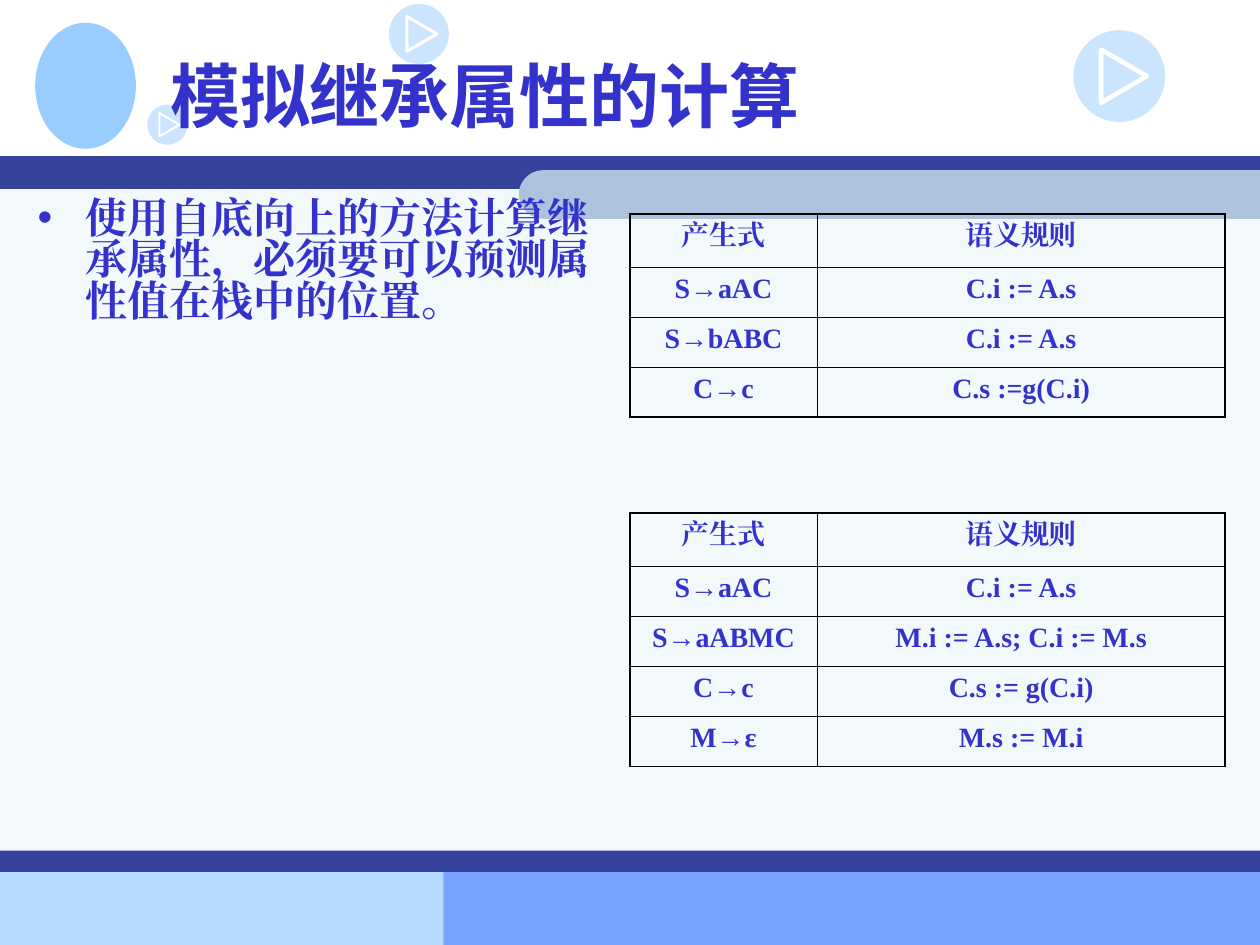
from lxml import etree
from pptx import Presentation
from pptx.dml.color import RGBColor
from pptx.enum import shapes, text
from pptx.oxml import ns
from pptx.util import Cm, Pt

INK, BAND, SKY = "3333CC", "36429B", "99CCFF"
INSETS = {"margin_left": Cm(0.25), "margin_right": Cm(0.25),
          "margin_top": Cm(0.13), "margin_bottom": Cm(0.13)}


def color(hex_string):
    return RGBColor.from_string(hex_string)


def write(paragraph, words, size, font_name, alignment):
    """Put one bold run in the paragraph, with one font for Latin and Chinese."""
    paragraph.alignment = alignment
    paragraph.space_before = Pt(0)
    run = paragraph.add_run()
    run.text = words
    run.font.color.rgb = color(INK)
    for name, value in {"size": Pt(size), "bold": True, "name": font_name}.items():
        setattr(run.font, name, value)
    etree.SubElement(run.font._element, ns.qn("a:ea"), typeface=font_name)


presentation = Presentation()
presentation.slide_width, presentation.slide_height = Cm(25.4), Cm(19.05)
slide = presentation.slides.add_slide(presentation.slide_layouts[1])
title, body = slide.placeholders

# Bands, and one plain oval as the emblem
kinds = shapes.MSO_SHAPE
for kind, left, top, width, height, fill in [
    (kinds.RECTANGLE, 0, 17.58, 10.8, 1.47, "B5DAFF"),
    (kinds.RECTANGLE, 8.94, 17.55, 16.46, 1.5, "77A4FF"),
    (kinds.RECTANGLE, 0, 3.56, 25.4, 14, "F3F8FB"),
    (kinds.RECTANGLE, 0, 3.15, 25.4, 0.66, BAND),
    (kinds.RECTANGLE, 0, 17.15, 25.4, 0.43, BAND),
    (kinds.OVAL, 0.71, 0.46, 2.03, 2.54, SKY),
]:
    shape = slide.shapes.add_shape(kind, Cm(left), Cm(top), Cm(width), Cm(height))
    shape.shadow.inherit = False
    shape.fill.solid()
    shape.fill.fore_color.rgb = color(fill)
    shape.line.fill.background()

# Tab with a round left end: an upright shape turned a quarter to the left
tab_left, tab_top, tab_width, tab_height = 10.46, 3.43, 14.94, 0.98
tab = slide.shapes.add_shape(
    kinds.ROUND_2_SAME_RECTANGLE,
    Cm(tab_left + (tab_width - tab_height) / 2), Cm(tab_top - (tab_width - tab_height) / 2),
    Cm(tab_height), Cm(tab_width))
tab.rotation = 270
tab.adjustments[0] = 0.5
tab.shadow.inherit = False
tab.fill.solid()
tab.fill.fore_color.rgb = color("ADC3DD")
tab.line.fill.background()

# Play badges: a half-transparent disc with a white triangle outline
for left, top, size in [(7.84, 0.08, 1.21), (21.64, 0.61, 1.85), (2.97, 2.11, 0.81)]:
    disc = slide.shapes.add_shape(kinds.OVAL, Cm(left), Cm(top), Cm(size), Cm(size))
    disc.shadow.inherit = False
    disc.fill.solid()
    disc.fill.fore_color.rgb = color(SKY)
    disc_color = disc.fill._xPr.find(".//" + ns.qn("a:srgbClr"))
    etree.SubElement(disc_color, ns.qn("a:alpha"), val="50000")
    disc.line.fill.background()

    base, depth = 0.58 * size, 0.5 * size
    triangle = slide.shapes.add_shape(
        kinds.ISOSCELES_TRIANGLE, Cm(left + 0.55 * size - base / 2),
        Cm(top + 0.5 * size - depth / 2), Cm(base), Cm(depth))
    triangle.rotation = 90
    triangle.shadow.inherit = False
    triangle.fill.background()
    triangle.line.color.rgb = color("FFFFFF")
    triangle.line.width = Cm(0.05 * size)

# Title and list, brought in front of the bands
for placeholder, words, size, font_name, anchor, box in [
    (title, "模拟继承属性的计算", 40, "Noto Sans CJK SC", text.MSO_ANCHOR.MIDDLE,
     (3.18, 0.43, 21.59, 2.97)),
    (body, "使用自底向上的方法计算继承属性，必须要可以预测属性值在栈中的位置。", 24,
     "Times New Roman", text.MSO_ANCHOR.TOP, (0.51, 3.91, 11.99, 12.6)),
]:
    slide.shapes.element.append(placeholder.element)
    for name, value in zip(("left", "top", "width", "height"), box):
        setattr(placeholder, name, Cm(value))
    frame = placeholder.text_frame
    settings = {**INSETS, "word_wrap": True, "vertical_anchor": anchor,
                "auto_size": text.MSO_AUTO_SIZE.NONE}
    for name, value in settings.items():
        setattr(frame, name, value)
    write(frame.paragraphs[0], words, size, font_name, text.PP_ALIGN.LEFT)

item = body.text_frame.paragraphs[0]
item.line_spacing = 0.82
item_format = item._p.get_or_add_pPr()
item_format.set("marL", str(Cm(0.96)))
item_format.set("indent", str(-Cm(0.96)))
etree.SubElement(item_format, ns.qn("a:buChar"), char="•")

# Grammar tables: thick outer border, thin inner lines
header = ("产生式", "语义规则")
for top, rules in [
    (4.31, [("S→aAC", "C.i := A.s"), ("S→bABC", "C.i := A.s"), ("C→c", "C.s :=g(C.i)")]),
    (10.34, [("S→aAC", "C.i := A.s"), ("S→aABMC", "M.i := A.s; C.i := M.s"),
             ("C→c", "C.s := g(C.i)"), ("M→ε", "M.s := M.i")]),
]:
    rows = [header, *rules]
    row_heights = [1.07] + [1.01] * len(rules)
    table = slide.shapes.add_table(len(rows), 2, Cm(12.7), Cm(top), Cm(12),
                                   Cm(sum(row_heights))).table
    table.first_row = table.horz_banding = False
    for column, width in zip(table.columns, (3.77, 8.23)):
        column.width = Cm(width)
    for r, (row, height) in enumerate(zip(rows, row_heights)):
        table.rows[r].height = Cm(height)
        for c, words in enumerate(row):
            cell = table.cell(r, c)
            for name, value in INSETS.items():
                setattr(cell, name, value)
            write(cell.text_frame.paragraphs[0], words, 16, "Times New Roman",
                  text.PP_ALIGN.CENTER)
            outer = {"lnL": c == 0, "lnR": c == 1, "lnT": r == 0, "lnB": r == len(rules)}
            for side, is_outer in outer.items():
                line = etree.SubElement(cell._tc.get_or_add_tcPr(), ns.qn("a:" + side),
                                        w=str(Pt(1.08 if is_outer else 0.45)))
                line_fill = etree.SubElement(line, ns.qn("a:solidFill"))
                etree.SubElement(line_fill, ns.qn("a:srgbClr"), val="000000")
            cell.fill.background()

presentation.save("out.pptx")
